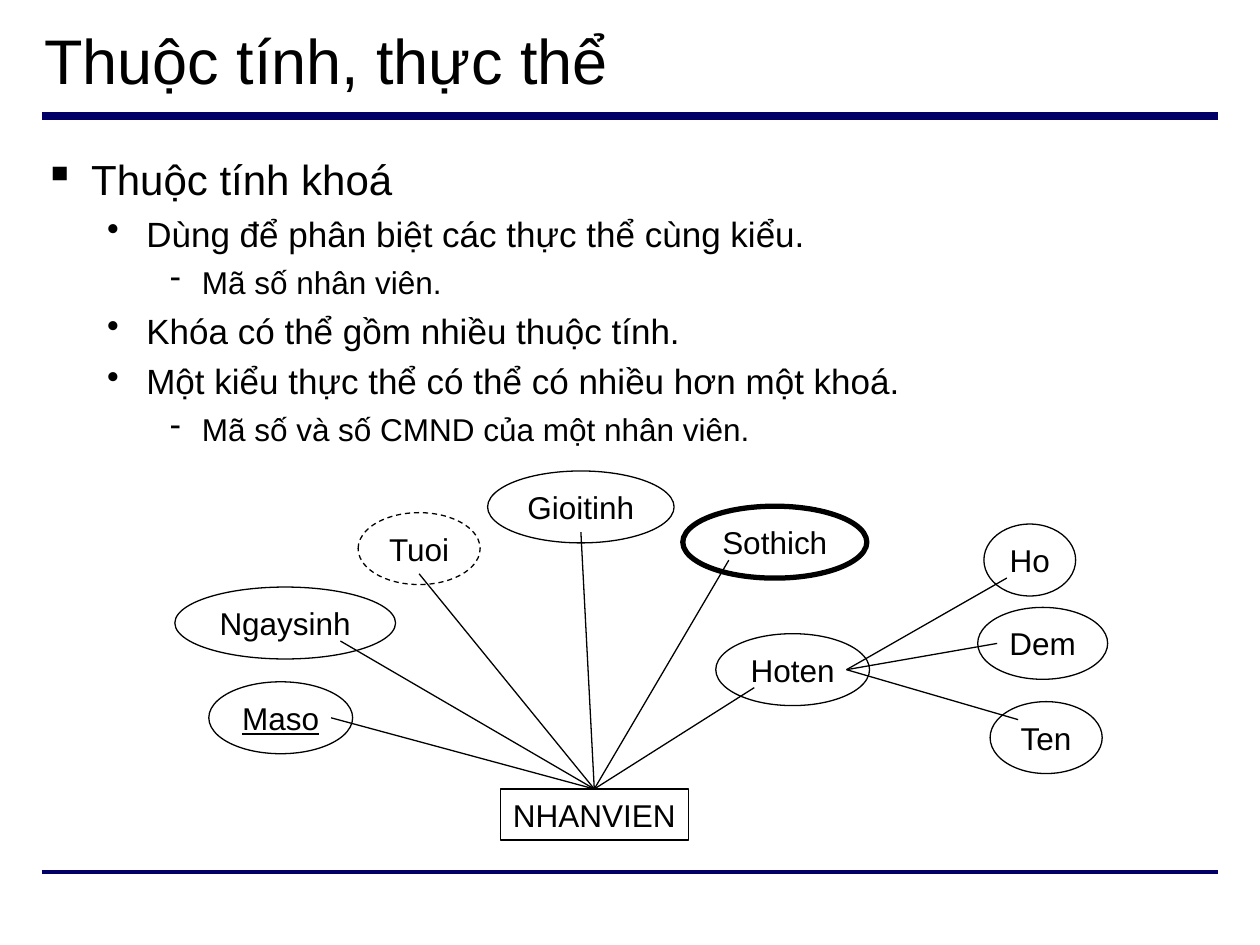
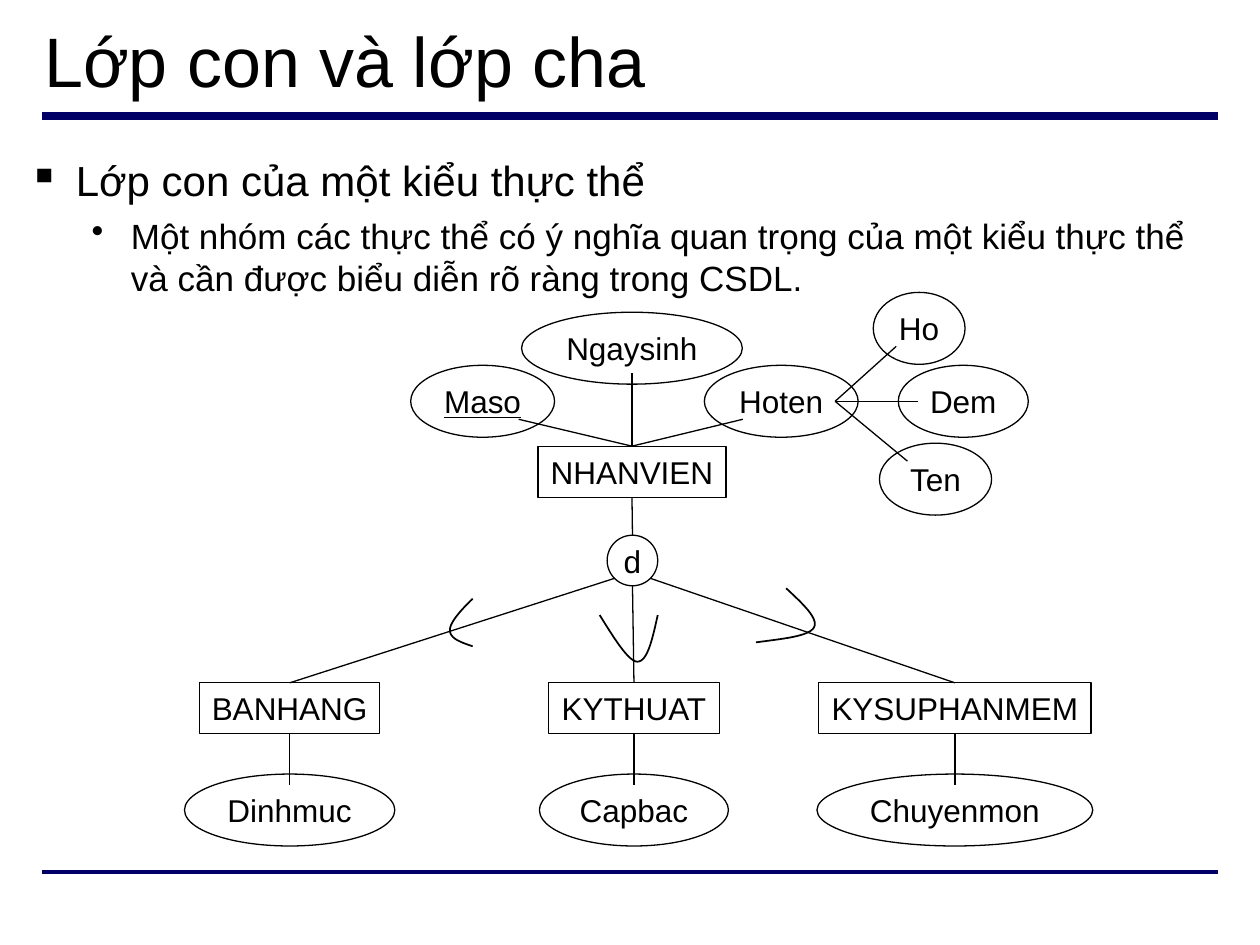
from dataclasses import dataclass

from lxml.etree import SubElement
from pptx import Presentation
from pptx.dml.color import RGBColor
from pptx.enum.dml import MSO_LINE_DASH_STYLE as Dash
from pptx.enum.shapes import MSO_CONNECTOR as Connector, MSO_SHAPE as Preset
from pptx.enum.text import MSO_ANCHOR as Anchor, PP_ALIGN as Align
from pptx.oxml.ns import qn
from pptx.util import Cm, Pt


@dataclass(frozen=True)
class Theme:
    font: str = "Arial"
    ink: RGBColor = RGBColor(0, 0, 0)
    paper: RGBColor = RGBColor(255, 255, 255)
    rule: RGBColor = RGBColor(0, 0, 0x66)
    node_size: int = 18
    thin: float = 0.75
    curve: float = 1
    thick: float = 3


THEME = Theme()

# Outline levels: bullet, left margin (cm), hanging indent (cm), size, space before
LEVELS = [
    ("▪", 0.95, 0.95, 24, 6),
    ("•", 2.06, 0.79, 20, 5),
    ("-", 3.18, 0.64, 18, 4.5),
]

# Node widths in cm, by label
WIDTHS = {
    "NHANVIEN": 3.79, "BANHANG": 3.63, "KYTHUAT": 3.45, "KYSUPHANMEM": 5.49,
    "Hoten": 3.1, "Ho": 1.85, "Dem": 2.62, "Ten": 2.26, "Ngaysinh": 4.45,
    "Tuoi": 2.46, "Maso": 2.9, "Sothich": 3.71, "Gioitinh": 3.76,
    "Dinhmuc": 4.24, "Capbac": 3.81, "Chuyenmon": 5.56, "d": 1.02,
}
ENTITY_HEIGHT = 1.03
ATTRIBUTE_HEIGHT = 1.45

# Anchor points as fractions of a node's width and height from its centre
TOP, BOTTOM = (0, -0.5), (0, 0.5)
INNER_TOP, INNER_BOTTOM = (0, -0.35), (0, 0.35)
INNER_LEFT, INNER_RIGHT = (-0.35, 0), (0.35, 0)
LOWER_LEFT, LOWER_RIGHT = (-0.25, 0.25), (0.25, 0.25)
UPPER_LEFT = (-0.25, -0.25)
RIM_LEFT, RIM_RIGHT = (-0.35, 0.35), (0.35, 0.35)


@dataclass(frozen=True)
class Node:
    x: float
    y: float
    width: float
    height: float

    def at(self, anchor):
        return self.x + anchor[0] * self.width, self.y + anchor[1] * self.height


def set_font(paragraph, size):
    font = paragraph.font
    font.name, font.size = THEME.font, Pt(size)
    font.color.rgb = THEME.ink


def add_line(slide, start, end, width=THEME.thin, color=THEME.ink):
    line = slide.shapes.add_connector(Connector.STRAIGHT, *map(Cm, start + end))
    line.line.color.rgb = color
    line.line.width = Pt(width)
    SubElement(line._element.spPr, qn("a:effectLst"))


def add_frame(slide, title, title_size):
    """Title with the rules above and below the content."""
    box = slide.shapes.add_textbox(Cm(0.64), Cm(0.3), Cm(24.13), Cm(1.78))
    box.text_frame.word_wrap = True
    box.text_frame.vertical_anchor = Anchor.MIDDLE
    heading = box.text_frame.paragraphs[0]
    heading.text = title
    set_font(heading, title_size)
    for y, width in ((2.34, 4.5), (17.58, 2.25)):
        add_line(slide, (0.84, y), (24.56, y), width, THEME.rule)


def add_outline(slide, left, top, items):
    frame = slide.shapes.add_textbox(Cm(left), Cm(top), Cm(24.13), Cm(14.07)).text_frame
    frame.word_wrap = True
    for index, (level, text) in enumerate(items):
        bullet, margin, hanging, size, space = LEVELS[level]
        item = frame.add_paragraph() if index else frame.paragraphs[0]
        item.text, item.level = text, level
        if index:
            item.space_before = Pt(space)
        props = item._p.get_or_add_pPr()
        props.set("marL", str(Cm(margin)))
        props.set("indent", str(-Cm(hanging)))
        SubElement(props, qn("a:buChar"), char=bullet)
        set_font(item, size)


def add_node(slide, preset, label, x, y, height):
    node = Node(x, y, WIDTHS[label], height)
    shape = slide.shapes.add_shape(
        preset, Cm(x - node.width / 2), Cm(y - height / 2), Cm(node.width), Cm(height))
    shape.shadow.inherit = False
    shape.fill.solid()
    shape.fill.fore_color.rgb = THEME.paper
    shape.line.color.rgb = THEME.ink
    shape.line.width = Pt(THEME.thin)
    frame = shape.text_frame
    frame.word_wrap = False
    frame.vertical_anchor = Anchor.MIDDLE
    caption = frame.paragraphs[0]
    caption.text, caption.alignment = label, Align.CENTER
    set_font(caption, THEME.node_size)
    # Attribute kinds: key, derived, multivalued
    if label == "Maso":
        caption.font.underline = True
    elif label == "Tuoi":
        shape.line.dash_style = Dash.DASH
    elif label == "Sothich":
        shape.line.width = Pt(THEME.thick)
    return node


def add_entity(slide, label, x, y):
    return add_node(slide, Preset.RECTANGLE, label, x, y, ENTITY_HEIGHT)


def add_attribute(slide, label, x, y):
    return add_node(slide, Preset.OVAL, label, x, y, ATTRIBUTE_HEIGHT)


def add_attributes(slide, owner, owner_anchor, attributes):
    """Attributes joined to one owner; returns them by label."""
    nodes = {}
    for label, x, y, anchor in attributes:
        nodes[label] = add_attribute(slide, label, x, y)
        add_line(slide, nodes[label].at(anchor), owner.at(owner_anchor))
    return nodes


def bezier(p0, p1, p2, p3, steps=16):
    for step in range(1, steps + 1):
        t = step / steps
        u = 1 - t
        yield tuple(u**3 * a + 3 * u * u * t * b + 3 * u * t * t * c + t**3 * d
                    for a, b, c, d in zip(p0, p1, p2, p3))


def add_subset_mark(slide, points):
    """Open curve through two cubic segments given by seven points."""
    curve = [*bezier(*points[:4]), *bezier(*points[3:])]
    builder = slide.shapes.build_freeform(*map(Cm, points[0]))
    builder.add_line_segments([(Cm(x), Cm(y)) for x, y in curve], close=False)
    mark = builder.convert_to_shape()
    mark.shadow.inherit = False
    mark.fill.background()
    mark.line.color.rgb = THEME.ink
    mark.line.width = Pt(THEME.curve)


def build_key_slide(slide):
    add_frame(slide, "Thuộc tính, thực thể", 36)
    add_outline(slide, 0.64, 2.97, [
        (0, "Thuộc tính khoá"),
        (1, "Dùng để phân biệt các thực thể cùng kiểu."),
        (2, "Mã số nhân viên."),
        (1, "Khóa có thể gồm nhiều thuộc tính."),
        (1, "Một kiểu thực thể có thể có nhiều hơn một khoá."),
        (2, "Mã số và số CMND của một nhân viên."),
    ])
    # Employee entity and its attributes
    employee = add_entity(slide, "NHANVIEN", 11.98, 16.42)
    attributes = add_attributes(slide, employee, TOP, [
        ("Hoten", 15.98, 13.5, LOWER_LEFT),
        ("Ngaysinh", 5.75, 12.56, LOWER_RIGHT),
        ("Tuoi", 8.45, 11.06, INNER_BOTTOM),
        ("Maso", 5.66, 14.47, INNER_RIGHT),
        ("Sothich", 15.62, 10.93, LOWER_LEFT),
        ("Gioitinh", 11.71, 10.22, INNER_BOTTOM),
    ])
    # Parts of the full name
    add_attributes(slide, attributes["Hoten"], INNER_RIGHT, [
        ("Ho", 20.76, 11.29, LOWER_LEFT),
        ("Dem", 21.02, 12.97, INNER_LEFT),
        ("Ten", 21.09, 14.87, UPPER_LEFT),
    ])


def build_subclass_slide(slide):
    add_frame(slide, "Lớp con và lớp cha", 40)
    add_outline(slide, 0.33, 3, [
        (0, "Lớp con của một kiểu thực thể"),
        (1, "Một nhóm các thực thể có ý nghĩa quan trọng của một kiểu thực thể "
            "và cần được biểu diễn rõ ràng trong CSDL."),
    ])
    # Superclass and its attributes
    employee = add_entity(slide, "NHANVIEN", 12.74, 9.51)
    attributes = add_attributes(slide, employee, TOP, [
        ("Hoten", 15.75, 8.09, LOWER_LEFT),
        ("Ngaysinh", 12.74, 7.02, INNER_BOTTOM),
        ("Maso", 9.73, 8.09, LOWER_RIGHT),
    ])
    add_attributes(slide, attributes["Hoten"], INNER_RIGHT, [
        ("Ho", 18.53, 6.62, LOWER_LEFT),
        ("Dem", 19.42, 8.09, INNER_LEFT),
        ("Ten", 18.86, 9.66, UPPER_LEFT),
    ])
    # Disjoint split into subclasses, each with its own attribute
    disjoint = add_node(slide, Preset.OVAL, "d", 12.75, 11.3, WIDTHS["d"])
    add_line(slide, employee.at(BOTTOM), disjoint.at(TOP))
    for name, attribute, x, exit_point in (
        ("BANHANG", "Dinhmuc", 5.84, RIM_LEFT),
        ("KYTHUAT", "Capbac", 12.78, BOTTOM),
        ("KYSUPHANMEM", "Chuyenmon", 19.25, RIM_RIGHT),
    ):
        subclass = add_entity(slide, name, x, 14.28)
        add_attributes(slide, subclass, BOTTOM, [(attribute, x, 16.33, INNER_TOP)])
        add_line(slide, disjoint.at(exit_point), subclass.at(TOP))
    # Subset marks on the branches
    for points in (
        [(9.53, 12.07), (9.3, 12.29), (9.07, 12.55), (9.07, 12.7),
         (9.07, 12.88), (9.3, 12.95), (9.53, 13.03)],
        [(12.09, 12.4), (12.37, 12.85), (12.67, 13.34), (12.85, 13.34),
         (13.06, 13.34), (13.16, 12.85), (13.26, 12.4)],
        [(15.24, 12.95), (15.77, 12.88), (16.31, 12.83), (16.41, 12.65),
         (16.51, 12.47), (16.18, 12.17), (15.85, 11.86)],
    ):
        add_subset_mark(slide, points)


def main():
    deck = Presentation()
    deck.slide_width, deck.slide_height = Cm(25.4), Cm(19.05)
    blank = deck.slide_layouts[6]
    for build in (build_key_slide, build_subclass_slide):
        build(deck.slides.add_slide(blank))
    deck.save("out.pptx")


if __name__ == "__main__":
    main()
